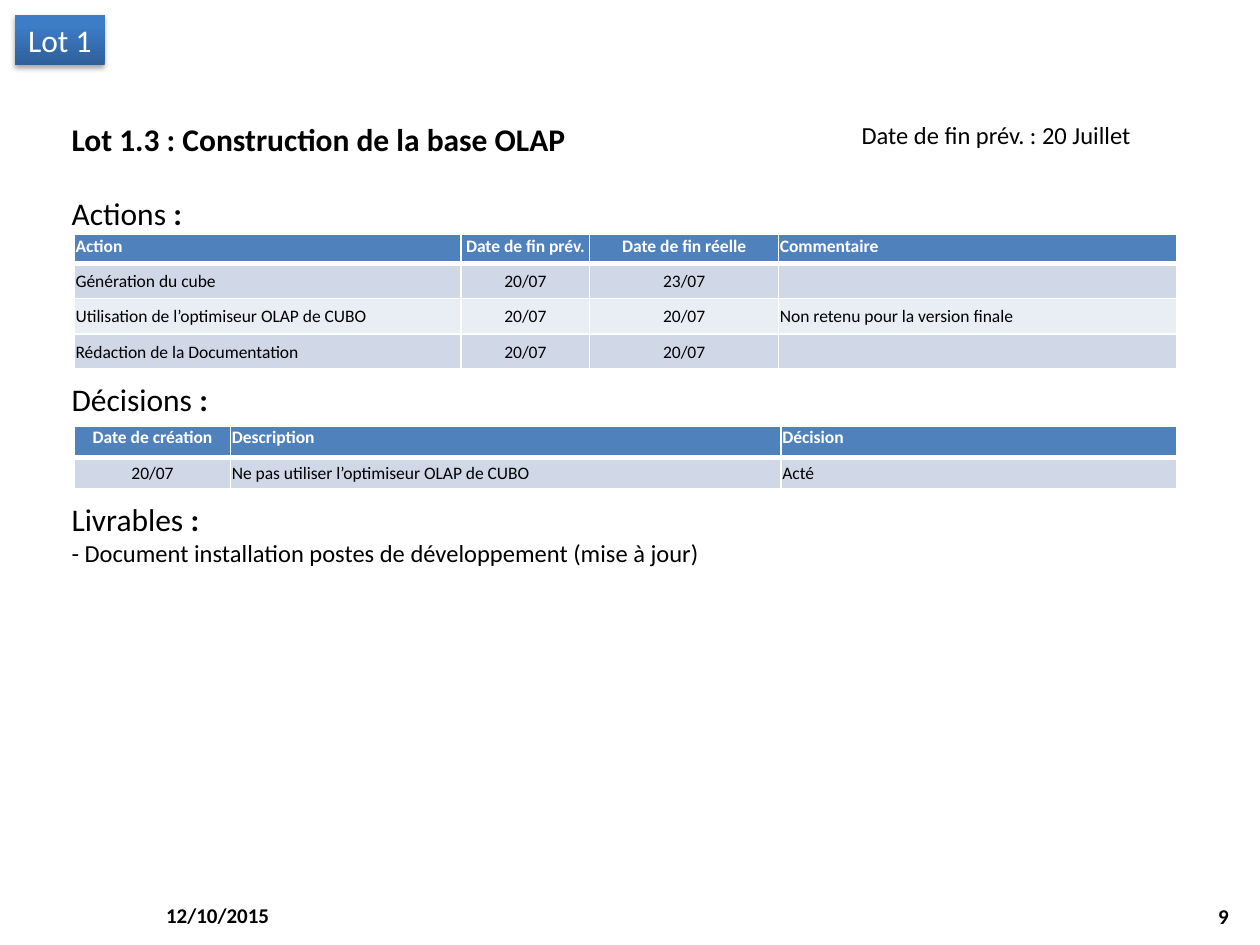
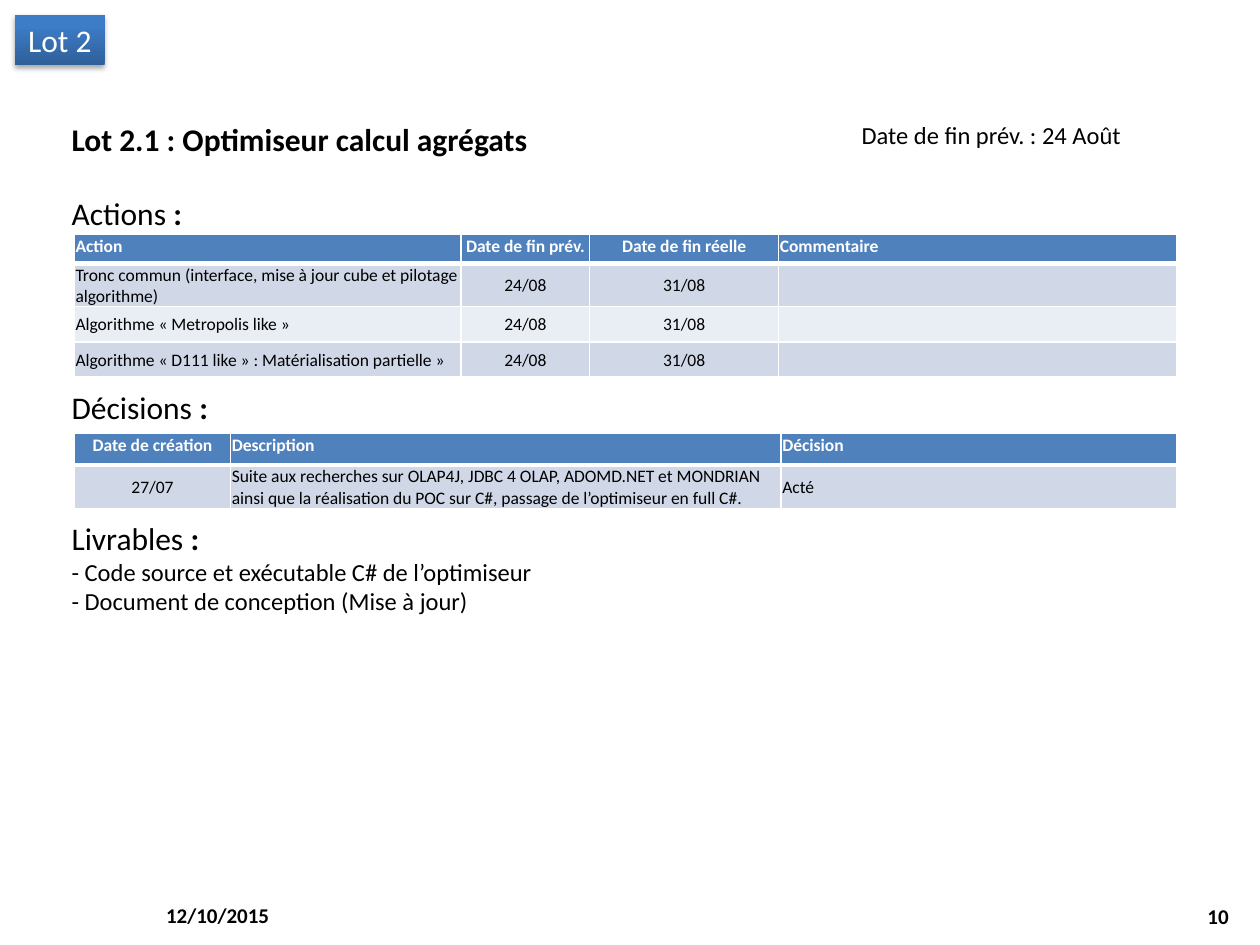
from lxml.etree import SubElement
from pptx import Presentation
from pptx.dml.color import RGBColor
from pptx.enum.shapes import MSO_SHAPE
from pptx.enum.text import MSO_ANCHOR, PP_ALIGN
from pptx.oxml import parse_xml
from pptx.oxml.ns import nsdecls, qn
from pptx.util import Inches, Pt

COLORS = {
    "text": "000000",
    "white": "FFFFFF",
    "header": "4F81BD",
    "band_dark": "D0D8E8",
    "band_light": "E9EDF4",
    "badge_bottom": "2F5F99",
    "badge_top": "3D7CC7",
}
FONT = "Calibri"
LEFT, RIGHT, CENTER = PP_ALIGN.LEFT, PP_ALIGN.RIGHT, PP_ALIGN.CENTER
TOP, MIDDLE = MSO_ANCHOR.TOP, MSO_ANCHOR.MIDDLE

ACTION_HEADER = ["Action", "Date de fin prév.", "Date de fin réelle", "Commentaire"]
ACTION_WIDTHS = [3.07, 1.02, 1.5, 3.16]
ACTION_ALIGNS = [LEFT, CENTER, CENTER, LEFT]
DECISION_HEADER = ["Date de création", "Description", "Décision"]
DECISION_WIDTHS = [1.24, 4.37, 3.14]
DECISION_ALIGNS = [CENTER, LEFT, LEFT]
TABLE_TOP = 1.86
GAP = 0.04
HEADING_HEIGHT = 0.41

LOTS = [
    {
        "badge": "Lot 1",
        "title": "Lot 1.3 : Construction de la base OLAP",
        "due": "Date de fin prév. : 20 Juillet",
        "actions": [
            ["Génération du cube", "20/07", "23/07", ""],
            ["Utilisation de l’optimiseur OLAP de CUBO", "20/07", "20/07",
             "Non retenu pour la version finale"],
            ["Rédaction de la Documentation", "20/07", "20/07", ""],
        ],
        "action_heights": [0.23, 0.28, 0.28, 0.28],
        "decision": ["20/07", "Ne pas utiliser l’optimiseur OLAP de CUBO", "Acté"],
        "decision_heights": [0.25, 0.25],
        "deliverables": ["- Document installation postes de développement (mise à jour)"],
        "page": "9",
    },
    {
        "badge": "Lot 2",
        "title": "Lot 2.1 : Optimiseur calcul agrégats",
        "due": "Date de fin prév. : 24 Août",
        "actions": [
            ["Tronc commun (interface, mise à jour cube et pilotage algorithme)",
             "24/08", "31/08", ""],
            ["Algorithme « Metropolis like »", "24/08", "31/08", ""],
            ["Algorithme « D111 like » : Matérialisation partielle »",
             "24/08", "31/08", ""],
        ],
        "action_heights": [0.23, 0.34, 0.28, 0.28],
        "decision": [
            "27/07",
            "Suite aux recherches sur OLAP4J, JDBC 4 OLAP, ADOMD.NET et MONDRIAN "
            "ainsi que la réalisation du POC sur C#, passage de l’optimiseur en full C#.",
            "Acté",
        ],
        "decision_heights": [0.25, 0.34],
        "deliverables": [
            "- Code source et exécutable C# de l’optimiseur",
            "- Document de conception (Mise à jour)",
        ],
        "page": "10",
    },
]


def write(p, text, size=18, bold=False, color="text", align=LEFT):
    p.alignment = align
    if not text:
        p._p.get_or_add_endParaRPr().set("sz", str(size * 100))
        return
    r = p.add_run()
    r.text = text
    r.font.name = FONT
    r.font.size = Pt(size)
    r.font.bold = bold
    r.font.color.rgb = RGBColor.from_string(COLORS[color])


def add_grid(s, top, widths, heights, aligns, rows):
    tbl = s.shapes.add_table(len(rows), len(widths), Inches(0.59), Inches(top),
                             Inches(sum(widths)), Inches(sum(heights))).table
    for col, width in zip(tbl.columns, widths):
        col.width = Inches(width)
    for i, (row, height) in enumerate(zip(rows, heights)):
        tbl.rows[i].height = Inches(height)
        head = i == 0
        fill = "header" if head else "band_dark" if i % 2 else "band_light"
        for j, (text, align) in enumerate(zip(row, aligns)):
            cell = tbl.cell(i, j)
            cell.margin_left = cell.margin_right = cell.margin_top = Inches(0.01)
            cell.margin_bottom = 0
            cell.vertical_anchor = TOP if head else MIDDLE
            write(cell.text_frame.paragraphs[0], text, size=10, bold=head,
                  color="white" if head else "text", align=align)
            tcPr = cell._tc.get_or_add_tcPr()
            for side in "LRTB":
                thick = (side == "B" and i == 0) or (side == "T" and i == 1)
                ln = SubElement(tcPr, qn(f"a:ln{side}"), w=str(Pt(3 if thick else 1)))
                line_fill = SubElement(ln, qn("a:solidFill"))
                SubElement(line_fill, qn("a:srgbClr"), val=COLORS["white"])
            cell.fill.solid()
            cell.fill.fore_color.rgb = RGBColor.from_string(COLORS[fill])


prs = Presentation()
prs.slide_width, prs.slide_height = Inches(10), Inches(7.5)

for lot in LOTS:
    s = prs.slides.add_slide(prs.slide_layouts[6])

    badge = s.shapes.add_shape(MSO_SHAPE.RECTANGLE, Inches(0.12), Inches(0.12),
                               Inches(0.71), Inches(0.4))
    badge.line.fill.background()
    badge.fill.gradient()
    badge.fill.gradient_angle = 90
    stops = zip(badge.fill.gradient_stops, [0, 0.8], ["badge_bottom", "badge_top"])
    for stop, position, color in stops:
        stop.position = position
        stop.color.rgb = RGBColor.from_string(COLORS[color])
    badge._element.spPr.append(parse_xml(
        f'<a:effectLst {nsdecls("a")}>'
        f'<a:outerShdw blurRad="{Pt(3.1)}" dist="{Pt(1.8)}" dir="5400000" rotWithShape="0">'
        f'<a:srgbClr val="{COLORS["text"]}"><a:alpha val="35000"/></a:srgbClr>'
        '</a:outerShdw></a:effectLst>'))
    badge.text_frame.word_wrap = False
    write(badge.text_frame.paragraphs[0], lot["badge"], color="white", align=CENTER)

    decisions_top = TABLE_TOP + sum(lot["action_heights"]) + GAP
    decision_table_top = decisions_top + HEADING_HEIGHT
    deliverables_top = decision_table_top + sum(lot["decision_heights"]) + GAP

    small_bold = {"size": 12, "bold": True}
    headings = {name: [(name, {}), (" :", {"bold": True})]
                for name in ["Actions", "Décisions", "Livrables"]}
    items = [[(item, {"size": 14})] for item in lot["deliverables"]]
    boxes = [
        (1.22, 7.06, 2.33, 0.4, MIDDLE, [[("12/10/2015", small_bold)]]),
        (7.52, 7.07, 2.33, 0.4, MIDDLE, [[(lot["page"], {**small_bold, "align": RIGHT})]]),
        (6.74, 0.9, 3.26, 0.34, TOP, [[(lot["due"], {"size": 14})]]),
        (0.47, 0.9, 4.3, 0.4, TOP, [[(lot["title"], {"bold": True})]]),
        (0.47, 1.49, 1.3, 0.4, TOP, [headings["Actions"]]),
        (0.47, decisions_top, 1.4, 0.4, TOP, [headings["Décisions"]]),
        (0.47, deliverables_top, 5.4, 1.11, TOP, [headings["Livrables"], *items]),
    ]
    for x, y, w, h, anchor, paragraphs in boxes:
        sp = s.shapes.add_textbox(Inches(x), Inches(y), Inches(w), Inches(h))
        tf = sp.text_frame
        tf.word_wrap = True
        tf.vertical_anchor = anchor
        for i, runs in enumerate(paragraphs):
            p = tf.add_paragraph() if i else tf.paragraphs[0]
            for text, style in runs:
                write(p, text, **style)

    add_grid(s, TABLE_TOP, ACTION_WIDTHS, lot["action_heights"], ACTION_ALIGNS,
             [ACTION_HEADER, *lot["actions"]])
    add_grid(s, decision_table_top, DECISION_WIDTHS, lot["decision_heights"],
             DECISION_ALIGNS, [DECISION_HEADER, lot["decision"]])

prs.save("out.pptx")
